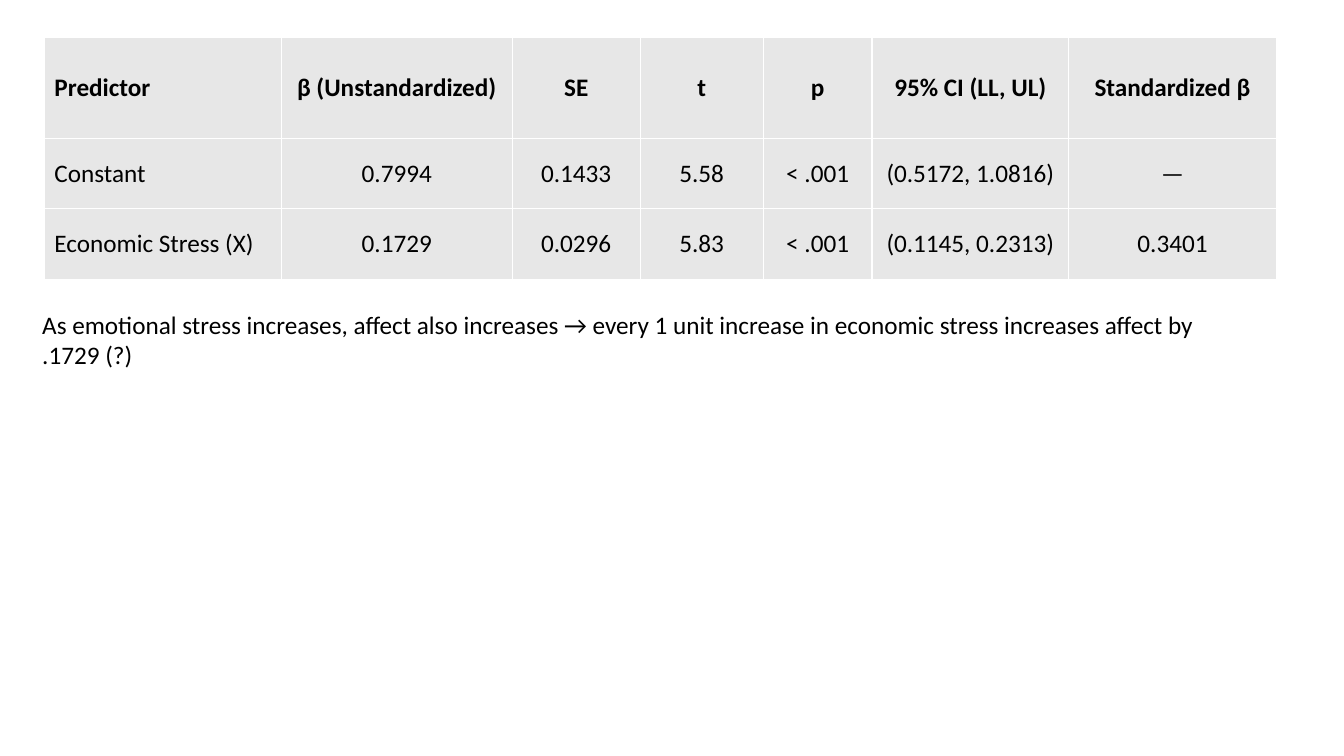
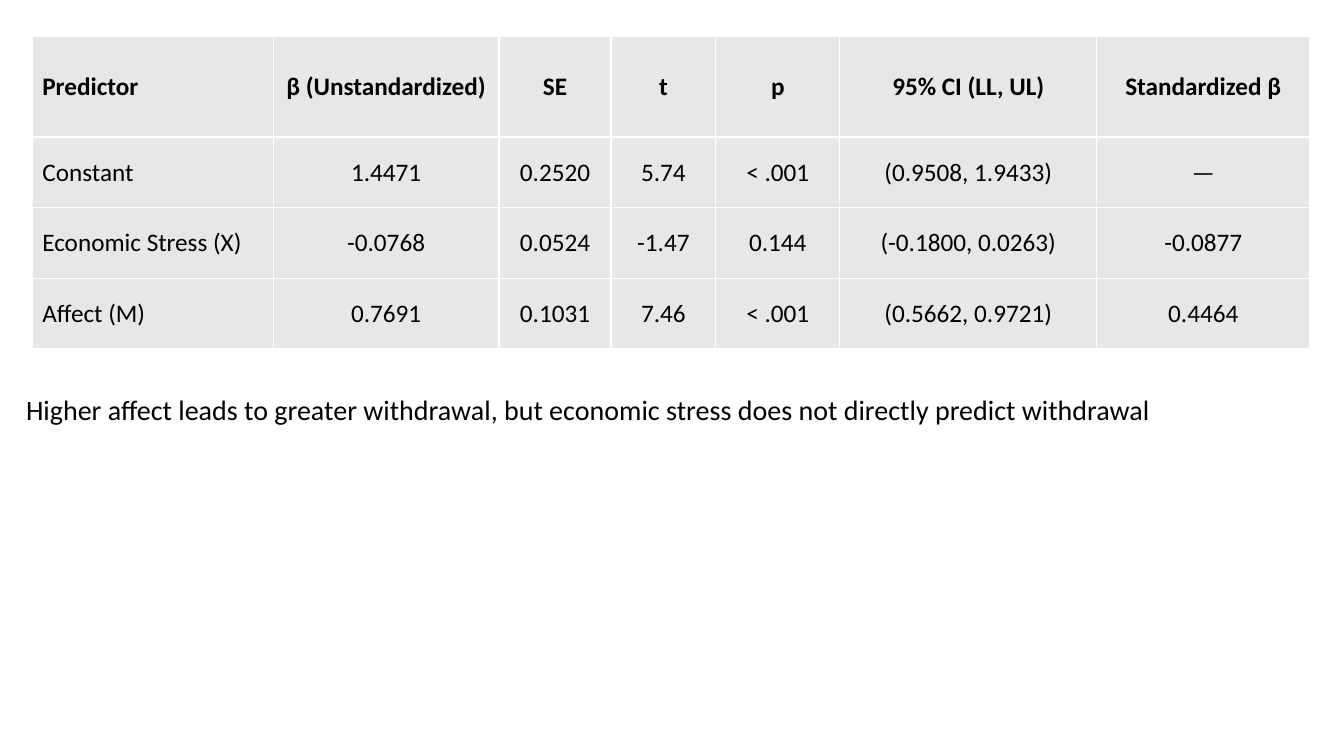
from dataclasses import dataclass

import lxml.etree
import pptx
import pptx.dml.color
import pptx.enum.text
import pptx.oxml.ns
import pptx.util

HEADINGS = ("Predictor", "β (Unstandardized)", "SE", "t", "p", "95% CI (LL, UL)", "Standardized β")

PAGES = [
    {
        "table_at": (0.44, 0.37),
        "columns": (2.35, 2.29, 1.27, 1.22, 1.08, 1.95, 2.06),
        "rows": [
            ("Constant", "0.7994", "0.1433", "5.58", "< .001", "(0.5172, 1.0816)", "—"),
            ("Economic Stress (X)", "0.1729", "0.0296", "5.83", "< .001", "(0.1145, 0.2313)", "0.3401"),
        ],
        "finding": "As emotional stress increases, affect also increases → every 1 unit increase "
                   "in economic stress increases affect by .1729 (?)",
        "finding_box": (0.32, 3.02, 12.22, 0.71),
        "finding_size": 18,
    },
    {
        "table_at": (0.32, 0.36),
        "columns": (2.39, 2.24, 1.11, 1.04, 1.23, 2.55, 2.11),
        "rows": [
            ("Constant", "1.4471", "0.2520", "5.74", "< .001", "(0.9508, 1.9433)", "—"),
            ("Economic Stress (X)", "-0.0768", "0.0524", "-1.47", "0.144", "(-0.1800, 0.0263)", "-0.0877"),
            ("Affect (M)", "0.7691", "0.1031", "7.46", "< .001", "(0.5662, 0.9721)", "0.4464"),
        ],
        "finding": "Higher affect leads to greater withdrawal, but economic stress does not "
                   "directly predict withdrawal",
        "finding_box": (0.16, 3.84, 12.83, 0.44),
        "finding_size": 20,
    },
]


@dataclass(frozen=True)
class Theme:
    font: str = "Calibri"
    ink: str = "000000"
    cell: str = "E7E7E7"
    rule: str = "FFFFFF"
    rule_width: float = 1
    table_size: int = 18
    header_height: float = 1
    row_height: float = 0.7


THEME = Theme()


def inches(values):
    return [pptx.util.Inches(value) for value in values]


def style(para, size, bold=False):
    para.font.name = THEME.font
    para.font.size = pptx.util.Pt(size)
    para.font.bold = bold
    para.font.color.rgb = pptx.dml.color.RGBColor.from_string(THEME.ink)


def add_borders(cell):
    qn = pptx.oxml.ns.qn
    properties = cell._tc.get_or_add_tcPr()
    for side in ("lnL", "lnR", "lnT", "lnB"):
        line = lxml.etree.SubElement(properties, qn(f"a:{side}"), w=str(pptx.util.Pt(THEME.rule_width)))
        fill = lxml.etree.SubElement(line, qn("a:solidFill"))
        lxml.etree.SubElement(fill, qn("a:srgbClr"), val=THEME.rule)


def fill_cell(cell, text, is_header, is_label):
    add_borders(cell)
    cell.fill.solid()
    cell.fill.fore_color.rgb = pptx.dml.color.RGBColor.from_string(THEME.cell)
    cell.vertical_anchor = pptx.enum.text.MSO_ANCHOR.MIDDLE
    cell.text = text
    para = cell.text_frame.paragraphs[0]
    align = pptx.enum.text.PP_ALIGN
    para.alignment = align.LEFT if is_label else align.CENTER
    style(para, THEME.table_size, is_header)


def add_results(page, position, columns, rows):
    lines = [HEADINGS, *rows]
    heights = [THEME.header_height] + [THEME.row_height] * len(rows)
    frame = page.shapes.add_table(
        len(lines), len(columns), *inches((*position, sum(columns), sum(heights))))
    table = frame.table
    for column, width in zip(table.columns, inches(columns)):
        column.width = width
    for row, height in zip(table.rows, inches(heights)):
        row.height = height
    for r, line in enumerate(lines):
        for c, text in enumerate(line):
            fill_cell(table.cell(r, c), text, r == 0, c == 0)


def add_finding(page, text, bounds, size):
    box = page.shapes.add_textbox(*inches(bounds))
    box.text_frame.word_wrap = True
    box.text_frame.auto_size = pptx.enum.text.MSO_AUTO_SIZE.SHAPE_TO_FIT_TEXT
    para = box.text_frame.paragraphs[0]
    para.text = text
    style(para, size)


def main():
    deck = pptx.Presentation()
    deck.slide_width, deck.slide_height = inches((13.33, 7.5))
    for content in PAGES:
        page = deck.slides.add_slide(deck.slide_layouts[6])
        add_results(page, content["table_at"], content["columns"], content["rows"])
        add_finding(page, content["finding"], content["finding_box"], content["finding_size"])
    deck.save("out.pptx")


if __name__ == "__main__":
    main()
